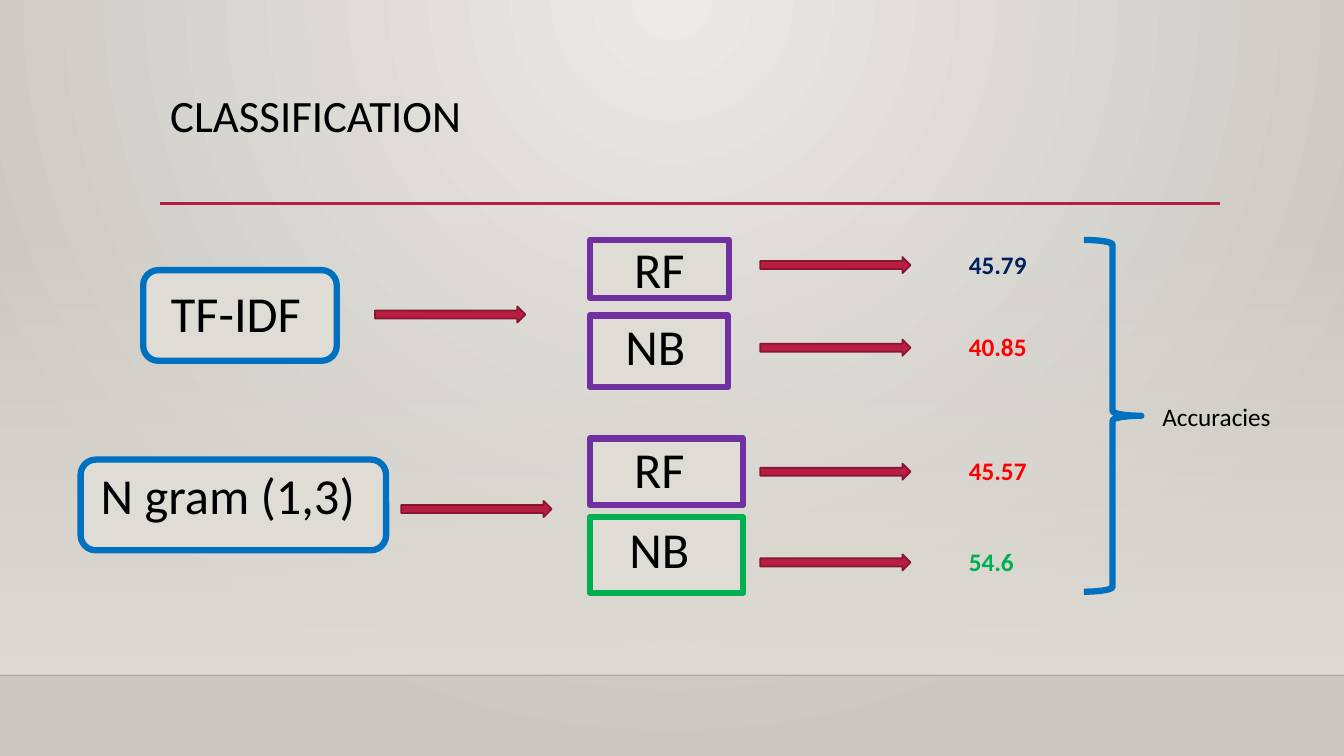
from lxml.etree import SubElement
from pptx import Presentation
from pptx.dml.color import RGBColor
from pptx.enum.shapes import MSO_CONNECTOR, MSO_SHAPE
from pptx.enum.text import MSO_ANCHOR, PP_ALIGN
from pptx.oxml.ns import qn
from pptx.util import Inches, Pt

BLACK = RGBColor(0x00, 0x00, 0x00)
SAND = RGBColor(0xDF, 0xDB, 0xD5)
LIGHT = RGBColor(0xEC, 0xEA, 0xE7)
SHADE = RGBColor(0xCA, 0xC7, 0xC1)
CRIMSON = RGBColor(0xB7, 0x1E, 0x42)
MAROON = RGBColor(0x87, 0x16, 0x31)
PURPLE = RGBColor(0x70, 0x30, 0xA0)
BLUE = RGBColor(0x00, 0x70, 0xC0)
NAVY = RGBColor(0x00, 0x20, 0x60)
RED = RGBColor(0xFF, 0x00, 0x00)
GREEN = RGBColor(0x00, 0xB0, 0x50)

WIDTH, HEIGHT = 13.33, 7.5
FLOOR = 6.7

# outline, frame, label, label position and width
FEATURES = [
    ((1.42, 2.68, 1.92, 0.9), "TF-IDF", (1.42, 2.75, 1.84)),
    ((0.8, 4.56, 3.03, 0.9), "N gram (1,3)", (0.8, 4.56, 2.92)),
]
MODELS = [
    (PURPLE, (5.85, 2.38, 1.38, 0.58), "RF", (5.62, 2.31, 1.84)),
    (PURPLE, (5.85, 3.13, 1.37, 0.71), "NB", (5.58, 3.08, 1.84)),
    (PURPLE, (5.85, 4.35, 1.52, 0.66), "RF", (5.62, 4.3, 1.84)),
    (GREEN, (5.85, 5.13, 1.52, 0.75), "NB", (5.62, 5.09, 1.84)),
]
FEATURE_ARROWS = [(3.72, 3.04), (3.98, 4.97)]
# arrow top, accuracy, colour
SCORES = [
    (2.55, "45.79", NAVY),
    (3.37, "40.85", RED),
    (4.6, "45.57", RED),
    (5.5, "54.6", GREEN),
]


def set_alpha(color_element, percent):
    SubElement(color_element, qn("a:alpha"), val=str(percent * 1000))


class Diagram:
    font = "Calibri"

    def __init__(self, page):
        self.page = page

    def gradient(self, fill, first, last):
        fill.gradient()
        for stop, color in zip(fill.gradient_stops, (first, last)):
            stop.color.rgb = color

    def backdrop(self):
        """Radial background with a fading wall above the floor line."""
        self.gradient(self.page.background.fill, LIGHT, SHADE)
        grad = self.page.element.xpath(".//p:bg//a:gradFill")[0]
        grad.remove(grad.find(qn("a:lin")))
        circle = SubElement(grad, qn("a:path"), path="circle")
        SubElement(circle, qn("a:fillToRect"), l="43000", t="0", r="43000", b="100000")

        wall = self.shape(MSO_SHAPE.RECTANGLE, (0, 2.21, WIDTH, FLOOR - 2.21))
        self.gradient(wall.fill, SAND, SAND)
        wall.fill.gradient_angle = 270
        set_alpha(wall.element.xpath(".//a:gs/a:srgbClr")[0], 0)

    def shape(self, kind, frame, fill=None, line=None, weight=4.5):
        shape = self.page.shapes.add_shape(kind, *map(Inches, frame))
        shape.shadow.inherit = False
        if fill is None:
            shape.fill.background()
        else:
            shape.fill.solid()
            shape.fill.fore_color.rgb = fill
        if line is None:
            shape.line.fill.background()
        else:
            shape.line.color.rgb = line
            shape.line.width = Pt(weight)
        return shape

    def rule(self, left, right, top, color, weight):
        rule = self.page.shapes.add_connector(
            MSO_CONNECTOR.STRAIGHT, Inches(left), Inches(top), Inches(right), Inches(top))
        rule.line.color.rgb = color
        rule.line.width = Pt(weight)
        SubElement(rule.element.spPr, qn("a:effectLst"))
        return rule

    def arrow(self, left, top):
        self.shape(MSO_SHAPE.RIGHT_ARROW, (left, top, 1.49, 0.16), CRIMSON, MAROON, 1.25)

    def text(self, words, frame, size, color=BLACK, bold=False, align=PP_ALIGN.LEFT):
        box = self.page.shapes.add_textbox(*map(Inches, frame))
        box.text_frame.word_wrap = True
        box.text_frame.vertical_anchor = MSO_ANCHOR.TOP
        para = box.text_frame.paragraphs[0]
        para.text = words
        para.alignment = align
        para.font.name = self.font
        para.font.size = Pt(size)
        para.font.bold = bold
        para.font.color.rgb = color
        return para

    def labelled_box(self, kind, line, frame, words, label):
        self.shape(kind, frame, SAND, line)
        self.text(words, (*label, 0.71), 36, align=PP_ALIGN.CENTER)


def main():
    deck = Presentation()
    deck.slide_width, deck.slide_height = Inches(WIDTH), Inches(HEIGHT)
    diagram = Diagram(deck.slides.add_slide(deck.slide_layouts[6]))

    diagram.backdrop()
    floor_line = diagram.rule(0, WIDTH, FLOOR, BLACK, 1)
    set_alpha(floor_line.element.xpath(".//a:ln//a:srgbClr")[0], 20)
    diagram.rule(1.59, 12.1, 2.02, CRIMSON, 2.5)
    title = diagram.text("CLASSIFICATION", (1.59, 0.88, 10.5, 1.15), 32)
    title.line_spacing = 0.9

    for frame, words, label in FEATURES:
        diagram.labelled_box(MSO_SHAPE.ROUNDED_RECTANGLE, BLUE, frame, words, label)
    for line, frame, words, label in MODELS:
        diagram.labelled_box(MSO_SHAPE.RECTANGLE, line, frame, words, label)
    for left, top in FEATURE_ARROWS:
        diagram.arrow(left, top)
    for top, accuracy, color in SCORES:
        diagram.arrow(7.54, top)
        diagram.text(accuracy, (9.51, top - 0.13, 1.92, 0.4), 18, color, bold=True)

    diagram.shape(MSO_SHAPE.RIGHT_BRACE, (10.75, 2.38, 0.57, 3.49), line=BLUE)
    diagram.text("Accuracies", (11.43, 3.93, 1.67, 0.4), 18)
    deck.save("out.pptx")


if __name__ == "__main__":
    main()
